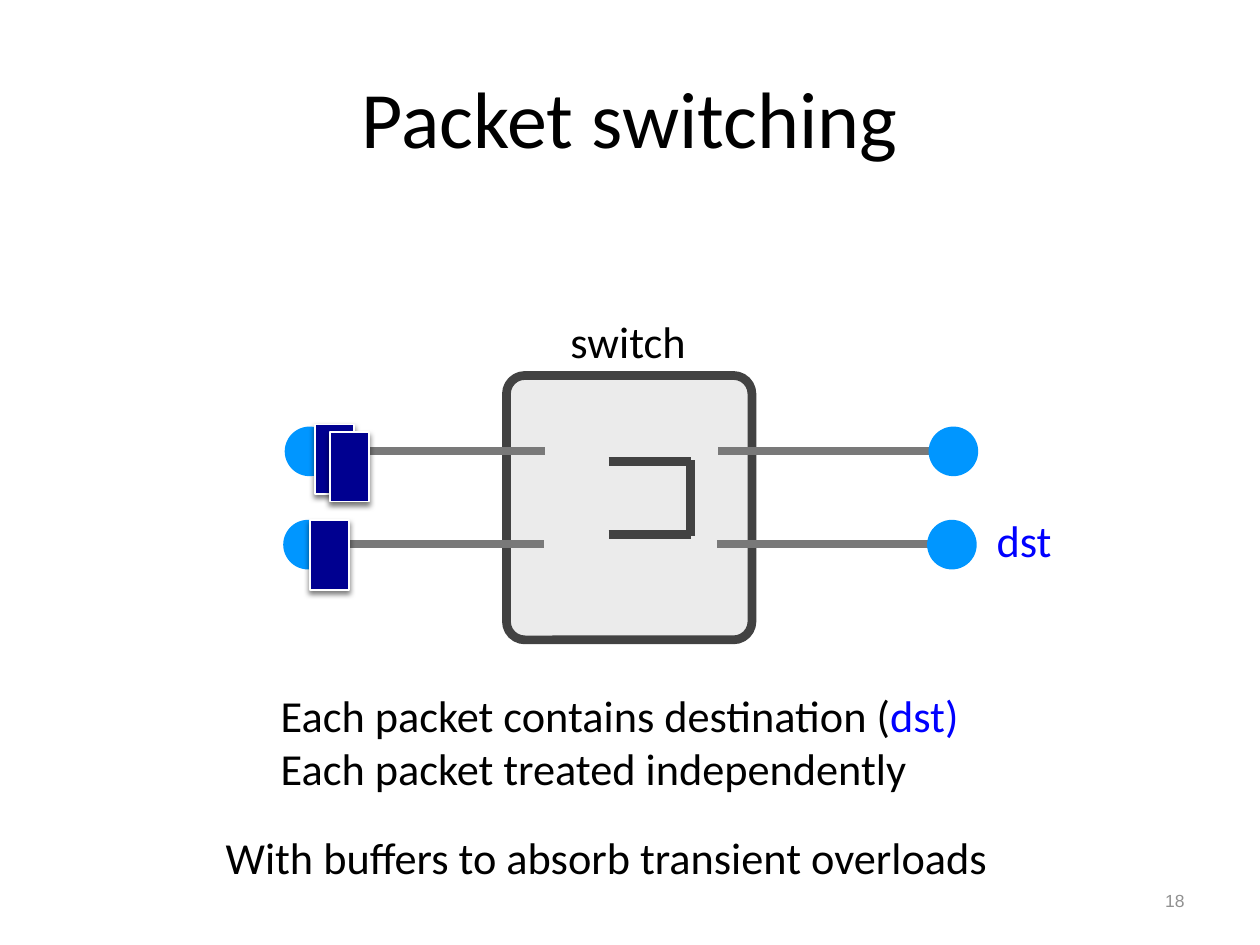
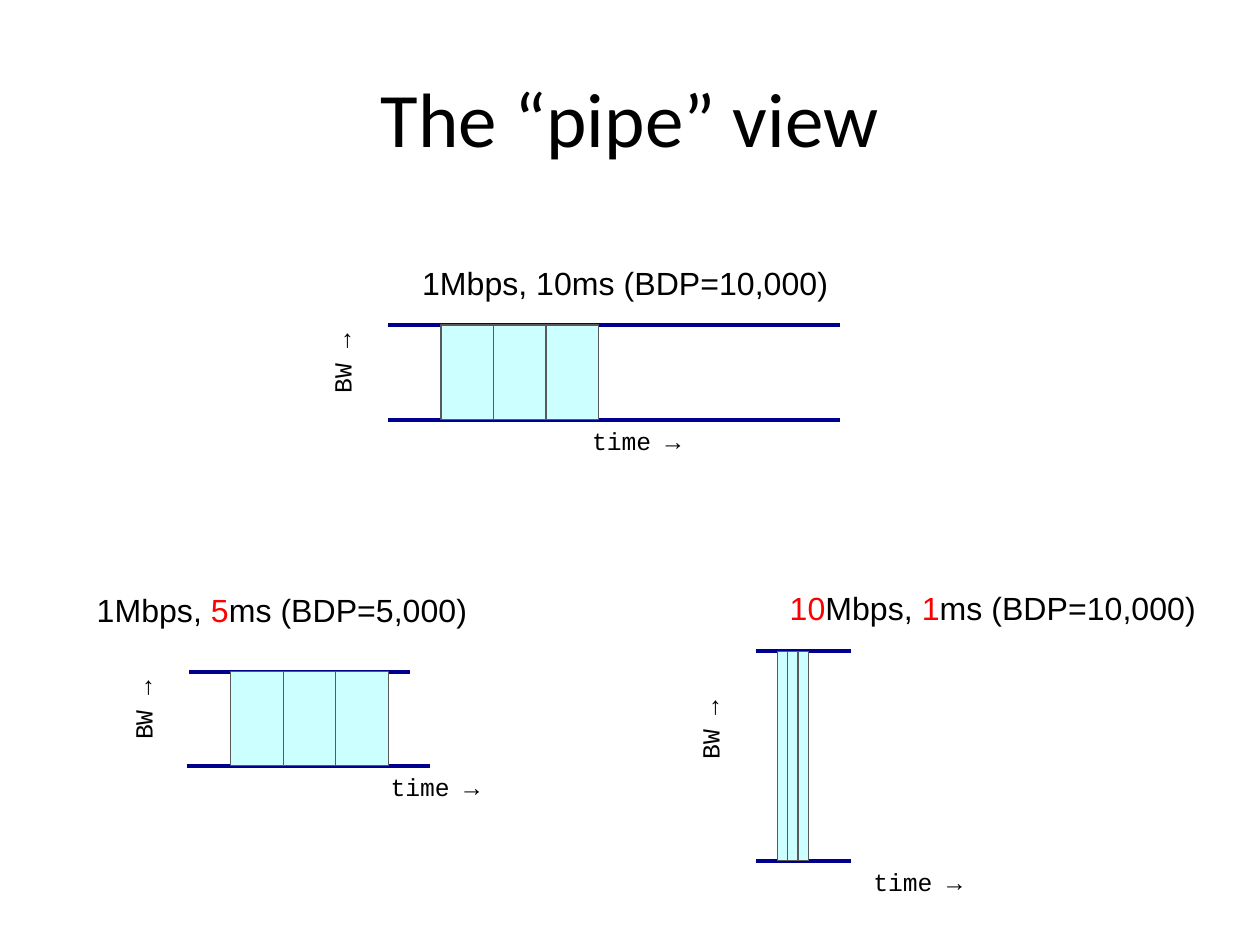
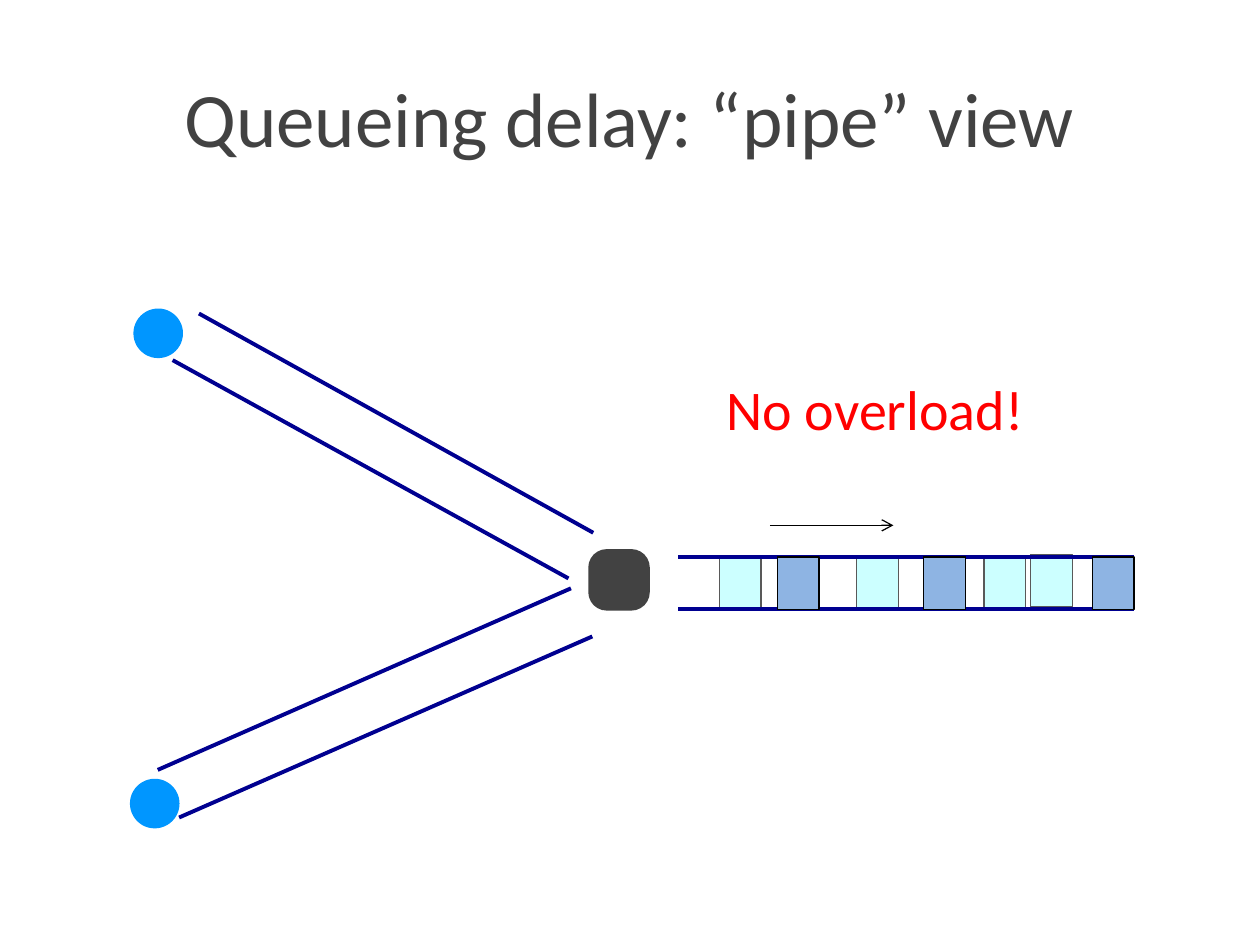
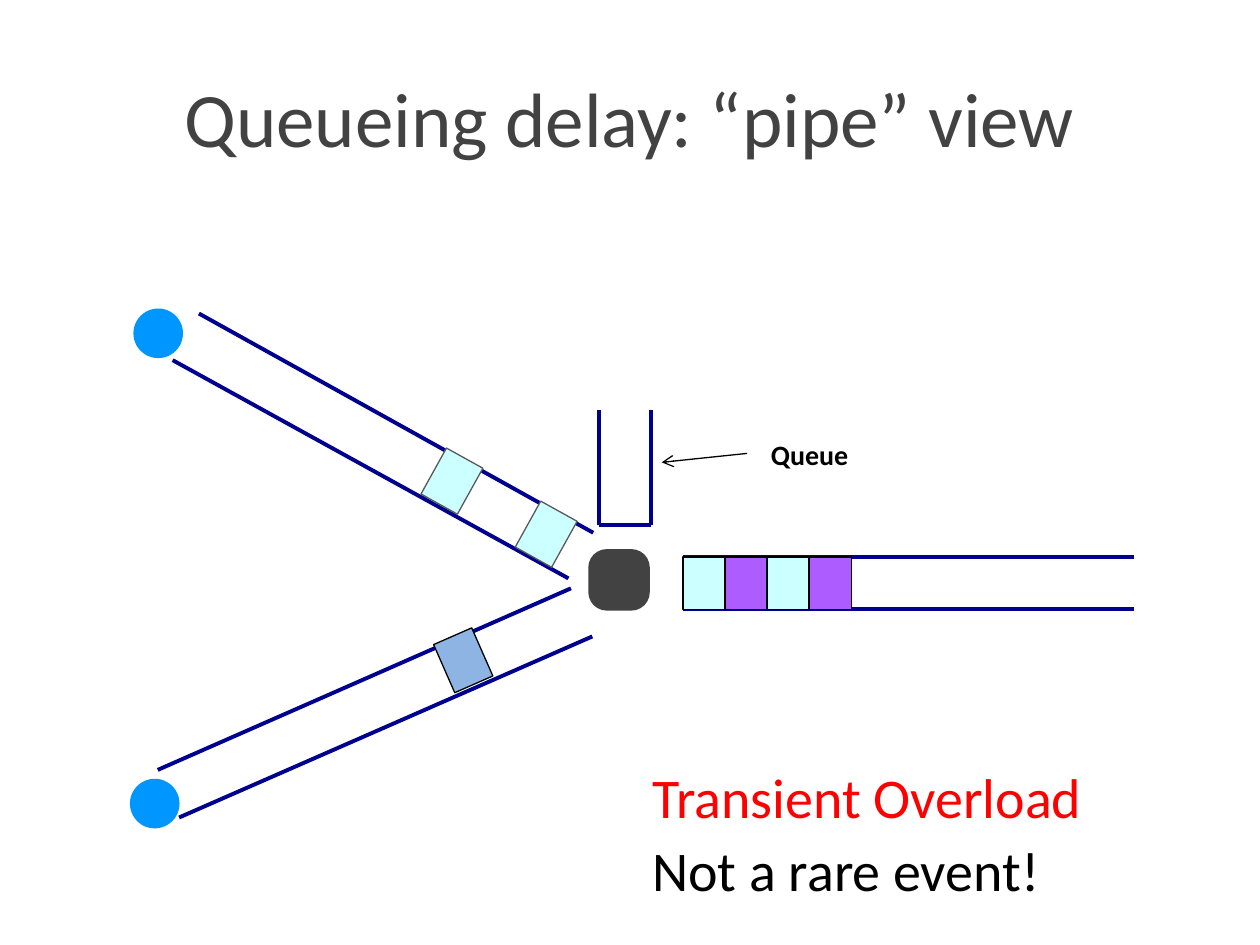
from lxml import etree
from pptx import Presentation
from pptx.dml.color import RGBColor
from pptx.enum.shapes import MSO_CONNECTOR as CONN, MSO_SHAPE as SHAPE
from pptx.enum.text import MSO_ANCHOR as ANCHOR, MSO_AUTO_SIZE as AUTO, PP_ALIGN as ALIGN
from pptx.oxml import parse_xml
from pptx.oxml.ns import nsdecls, qn
from pptx.util import Cm, Pt

BLACK = RGBColor(0x00, 0x00, 0x00)
WHITE = RGBColor(0xFF, 0xFF, 0xFF)
RED = RGBColor(0xFF, 0x00, 0x00)
BLUE = RGBColor(0x00, 0x00, 0xFF)
NAVY = RGBColor(0x00, 0x00, 0x90)
SKY = RGBColor(0x00, 0x96, 0xFF)
STEEL = RGBColor(0x8E, 0xB4, 0xE3)
CYAN = RGBColor(0xCC, 0xFF, 0xFF)
PURPLE = RGBColor(0xAD, 0x5C, 0xFF)
DARK = RGBColor(0x42, 0x42, 0x42)
EDGE = RGBColor(0x59, 0x59, 0x59)
GRAY = RGBColor(0x79, 0x79, 0x79)
PALE = RGBColor(0x91, 0x91, 0x91)
PANEL = RGBColor(0xEB, 0xEB, 0xEB)

SHADOW = (
    f'<a:effectLst {nsdecls("a")}>'
    '<a:outerShdw blurRad="38100" dist="25400" dir="5400000" rotWithShape="0">'
    '<a:srgbClr val="000000"><a:alpha val="50000"/></a:srgbClr>'
    '</a:outerShdw></a:effectLst>'
)


def write(tf, *paras, size=25.3, font="Calibri", color=BLACK, bold=False,
          align=ALIGN.LEFT, spacing=None):
    for i, para in enumerate(paras):
        p = tf.add_paragraph() if i else tf.paragraphs[0]
        p.alignment = align
        if spacing:
            p.line_spacing = spacing
        for text, tint in [(para, color)] if isinstance(para, str) else para:
            r = p.add_run()
            r.text = text
            r.font.size, r.font.name, r.font.bold = Pt(size), font, bold
            r.font.color.rgb = tint


class Deck:
    PACKET = (0.84, 1.06)

    def __init__(self):
        self.prs = Presentation()
        self.prs.slide_width, self.prs.slide_height = Cm(25.4), Cm(19.05)

    def slide(self, title, size=44, color=BLACK):
        self.s = self.prs.slides.add_slide(self.prs.slide_layouts[6])
        self.text(1.27, 0.76, 22.86, 3.18, title, size=size, color=color,
                  align=ALIGN.CENTER, anchor=ANCHOR.MIDDLE, grow=False)

    def text(self, x, y, w, h, *paras, wrap=True, grow=True, inset=None,
             anchor=ANCHOR.TOP, rot=0, **fmt):
        sp = self.s.shapes.add_textbox(Cm(x), Cm(y), Cm(w), Cm(h))
        sp.rotation = rot
        tf = sp.text_frame
        tf.word_wrap, tf.vertical_anchor = wrap, anchor
        tf.auto_size = AUTO.SHAPE_TO_FIT_TEXT if grow else AUTO.NONE
        if inset is not None:
            tf.margin_left = tf.margin_right = Cm(inset)
            tf.margin_top = tf.margin_bottom = Cm(inset)
        write(tf, *paras, **fmt)

    def label(self, x, y, w, h, *paras, **fmt):
        self.text(x, y, w, h, *paras, wrap=False, inset=0.1,
                  anchor=ANCHOR.MIDDLE, **fmt)

    def axis(self, x, y, w, text, rot=0):
        self.text(x, y, w, 0.86, text, wrap=False, rot=rot, size=14.1,
                  font="Courier New", align=ALIGN.RIGHT)

    def shape(self, kind, x, y, w, h, fill, edge=None, width=0.75, rot=0, round_by=None):
        sp = self.s.shapes.add_shape(kind, Cm(x), Cm(y), Cm(w), Cm(h))
        sp.shadow.inherit = False
        sp.rotation = rot
        sp.fill.solid()
        sp.fill.fore_color.rgb = fill
        if edge is None:
            sp.line.fill.background()
        else:
            sp.line.color.rgb, sp.line.width = edge, Pt(width)
        if round_by is not None:
            sp.adjustments[0] = round_by
        return sp

    def node(self, x, y):
        self.shape(SHAPE.OVAL, x, y, 1, 1, SKY)

    def packet(self, x, y, fill=CYAN, edge=EDGE, size=PACKET, rot=0):
        self.shape(SHAPE.RECTANGLE, x, y, *size, fill, edge, rot=rot)

    def shaded_packet(self, x, y):
        sp = self.shape(SHAPE.RECTANGLE, x, y, 0.79, 1.4, NAVY, WHITE, 1)
        pr = sp._element.spPr
        pr.replace(pr.find(qn("a:effectLst")), parse_xml(SHADOW))

    def line(self, x1, y1, x2, y2, color=NAVY, width=2.25, arrow=False):
        c = self.s.shapes.add_connector(CONN.STRAIGHT, Cm(x1), Cm(y1), Cm(x2), Cm(y2))
        c.line.color.rgb, c.line.width = color, Pt(width)
        if arrow:
            etree.SubElement(c.line._get_or_add_ln(), qn("a:tailEnd"), type="arrow")
        etree.SubElement(c._element.spPr, qn("a:effectLst"))

    def arrow(self, *ends):
        self.line(*ends, color=BLACK, width=0.75, arrow=True)

    def pipe(self, caption, caption_at, top, bottom, packet_x, packet_w, time_x, bw_y):
        self.text(*caption_at, 1.19, caption, wrap=False, size=18.3, font="Arial", spacing=1.2)
        for x1, x2, y in (top, bottom):
            self.line(x1, y, x2, y)
        left, _, y = top
        end = bottom[2]
        self.axis(time_x, end, 2.49, "time →")
        self.axis(left - 1.88, bw_y, 1.91, "BW →", rot=270)
        for i in range(3):
            self.packet(packet_x + i * packet_w, y, size=(packet_w, end - y))

    def inbound_links(self):
        for ends in ((4.01, 6.32, 11.96, 10.74), (3.48, 7.26, 11.46, 11.66),
                     (3.18, 15.52, 11.51, 11.86), (3.61, 16.48, 11.94, 12.83)):
            self.line(*ends)
        self.node(2.69, 6.22)
        self.node(2.62, 15.7)
        self.shape(SHAPE.ROUNDED_RECTANGLE, 11.86, 11.07, 1.24, 1.24, DARK, round_by=0.3)

    def outbound_link(self, x):
        for y in (11.23, 12.27):
            self.line(x, y, x + 9.09, y)

    def message(self, x, y, w, text, color):
        self.text(x, y, w, 1.63, text, size=32, color=color)


deck = Deck()

deck.slide("Packet switching", size=45.7)
deck.shape(SHAPE.ROUNDED_RECTANGLE, 10.21, 7.57, 4.95, 5.33, PANEL, DARK, 5, round_by=0.075)
for row in range(2):
    dx, y = -0.03 * row, 9.09 + 1.88 * row
    for line_x, node_x in ((6.35, 5.74), (14.48, 18.72)):
        deck.line(line_x + dx, y, line_x + dx + 4.64, y, GRAY, 5)
        deck.node(node_x + dx, y - 0.49)
for ends in ((13.92, 10.8, 13.92, 9.27), (12.27, 9.3, 13.92, 9.3), (12.27, 10.77, 13.92, 10.77)):
    deck.line(*ends, DARK, 5)
for x, y in ((6.35, 8.56), (6.65, 8.71), (6.25, 10.49)):
    deck.shaded_packet(x, y)
deck.label(11.4, 6.22, 2.69, 1.3, "switch")
deck.label(19.99, 10.24, 1.4, 1.3, "dst", color=BLUE)
deck.label(5.56, 13.77, 15.44, 2.36,
           [("Each packet contains destination (", BLACK), ("dst)", BLUE)],
           "Each packet treated independently")
deck.label(4.45, 16.64, 16.87, 1.27, "With buffers to absorb transient overloads")
deck.text(18.21, 17.65, 5.92, 1.02, "18", size=10, font="Arial", color=PALE,
          align=ALIGN.RIGHT, anchor=ANCHOR.MIDDLE, grow=False)

deck.slide("The “pipe” view")
deck.pipe("1Mbps, 10ms (BDP=10,000)", (8.26, 5.03, 8.97),
          (7.82, 16.94, 6.55), (7.82, 16.94, 8.46),
          packet_x=8.89, packet_w=1.06, time_x=11.48, bw_y=7.01)
deck.pipe([("1Mbps, ", BLACK), ("5", RED), ("ms (BDP=5,000)", BLACK)], (1.7, 11.63, 8.26),
          (3.81, 8.26, 13.54), (3.76, 8.66, 15.44),
          packet_x=4.65, packet_w=1.06, time_x=7.42, bw_y=14)
deck.pipe([("10", RED), ("Mbps, ", BLACK), ("1", RED), ("ms (BDP=10,000)", BLACK)],
          (15.67, 11.58, 8.97), (15.24, 17.15, 13.13), (15.24, 17.15, 17.35),
          packet_x=15.67, packet_w=0.21, time_x=17.15, bw_y=14.4)

deck.slide("Queueing delay: “pipe” view", color=DARK)
deck.inbound_links()
deck.outbound_link(13.67)
for x, y in ((20.78, 11.18), (19.84, 11.2), (17.27, 11.23), (14.5, 11.23)):
    deck.packet(x, y)
deck.outbound_link(13.77)
for x in (15.67, 22.02, 18.62):
    deck.packet(x, 11.23, STEEL, BLACK)
deck.message(14.4, 7.42, 8.69, "No overload!", RED)
deck.arrow(15.52, 10.59, 18.01, 10.59)

deck.slide("Queueing delay: “pipe” view", color=DARK)
deck.inbound_links()
deck.packet(10.59, 10.24, rot=29)
deck.packet(8.69, 9.17, rot=29)
deck.packet(8.92, 12.78, STEEL, BLACK, rot=336.3)
for x in (12.07, 13.13):
    deck.line(x, 8.26, x, 10.59)
deck.line(12.07, 10.59, 13.13, 10.59)
deck.text(15.06, 8.69, 2.29, 0.94, "Queue", wrap=False, size=16, bold=True, align=ALIGN.RIGHT)
deck.arrow(15.06, 9.14, 13.34, 9.32)
deck.outbound_link(13.77)
for i, fill in enumerate((CYAN, PURPLE) * 2):
    deck.packet(13.77 + 0.85 * i, 11.23, fill, BLACK)
deck.message(12.9, 15.24, 11.86, "Transient Overload", RED)
deck.message(12.9, 16.71, 11.86, "Not a rare event!", BLACK)

deck.prs.save("out.pptx")
